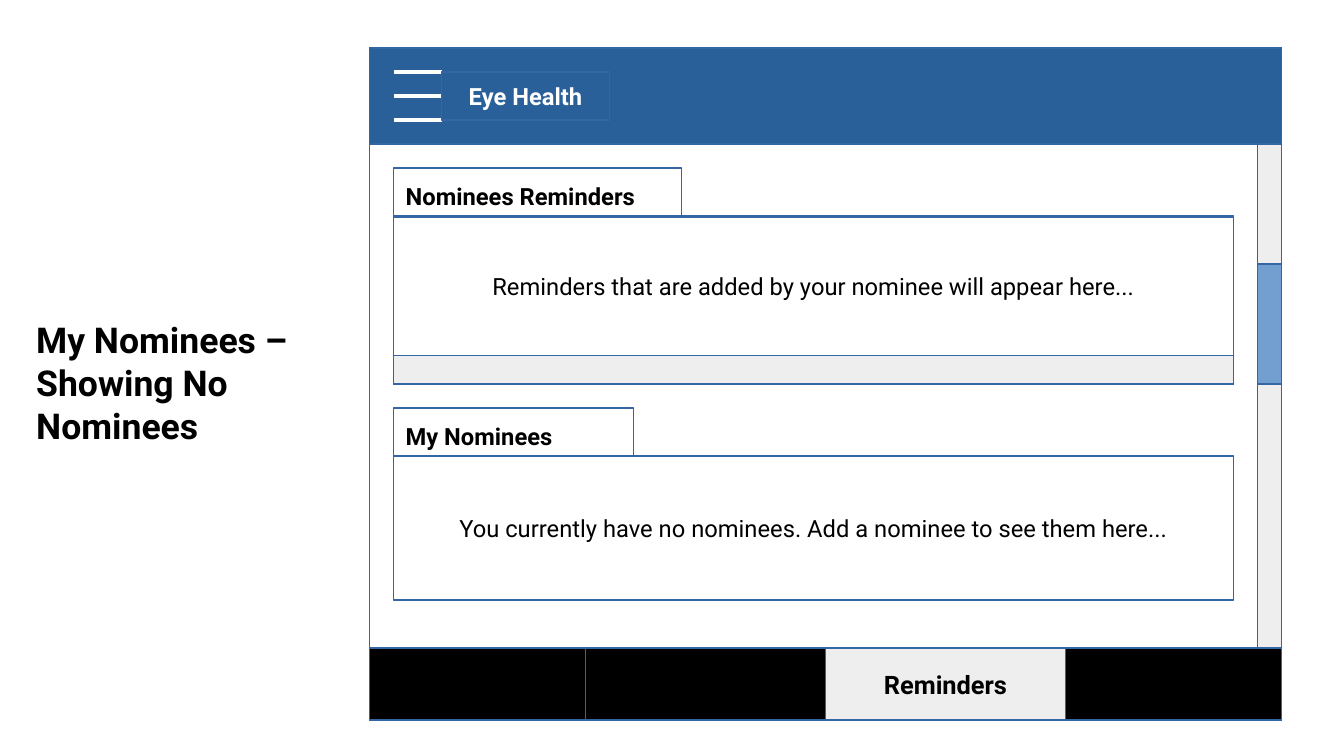
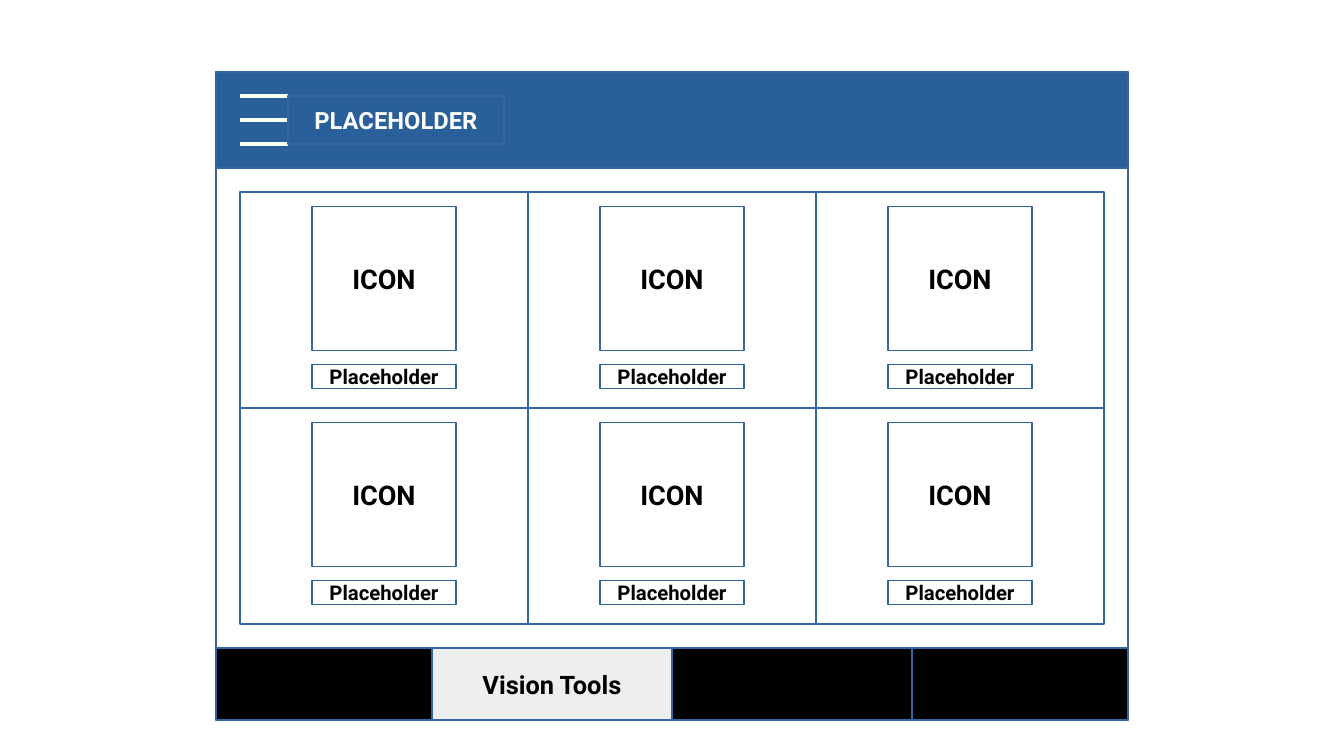
"""Draws two app screen wireframes on a grid of half-centimetre cells."""
from pptx import Presentation as Deck
from pptx.dml.color import RGBColor as Rgb
from pptx.enum.shapes import MSO_CONNECTOR as Link, MSO_SHAPE as Form
from pptx.enum.text import MSO_ANCHOR as Anchor, MSO_AUTO_SIZE as Fit, PP_ALIGN as Align
from pptx.oxml.ns import qn
from pptx.util import Cm, Pt
from lxml.etree import SubElement

WHITE = Rgb(0xFF, 0xFF, 0xFF)
BLACK = Rgb(0, 0, 0)
GREY = Rgb(0xEE, 0xEE, 0xEE)
NAVY = Rgb(0x2A, 0x60, 0x99)
SKY = Rgb(0x72, 0x9F, 0xCF)
EDGE = Rgb(0x34, 0x65, 0xA4)
FONT = "Roboto"
COLS, ROWS = 56, 31.5
WIDE, FOOT, BASE = 38, 27, 30
TABS = (9, 10, 10, 9)


def cell(count):
    return Cm(count * 0.5)


class Screen:
    def __init__(self):
        self.deck = Deck()
        self.deck.slide_width, self.deck.slide_height = cell(COLS), cell(ROWS)
        self.slide = None
        self.left = self.top = 0

    def start(self, layout, left, top):
        self.slide = self.deck.slides.add_slide(self.deck.slide_layouts[layout])
        self.left, self.top = left, top

    def words(self, shape, text, size, color=BLACK, bold=True,
              align=Align.CENTER, anchor=Anchor.MIDDLE):
        frame = shape.text_frame
        frame.text = text
        frame.word_wrap = True
        frame.vertical_anchor = anchor
        para = frame.paragraphs[0]
        para.alignment = align
        font = para.runs[0].font
        font.name, font.size, font.bold = FONT, Pt(size), bold
        font.color.rgb = color

    def title(self, text, col, row, wide, high):
        shape = self.slide.shapes.title
        shape.left, shape.top = cell(col), cell(row)
        shape.width, shape.height = cell(wide), cell(high)
        self.words(shape, text, 21, align=Align.LEFT, anchor=Anchor.TOP)
        shape.text_frame.auto_size = Fit.NONE

    def box(self, col, row, wide, high, fill=WHITE):
        shape = self.slide.shapes.add_shape(
            Form.RECTANGLE, cell(self.left + col), cell(row), cell(wide), cell(high))
        shape.shadow.inherit = False
        shape.line.color.rgb = EDGE
        shape.line.width = Pt(0)
        if fill is None:
            shape.fill.background()
        else:
            shape.fill.solid()
            shape.fill.fore_color.rgb = fill
        return shape

    def bar(self, col, row, wide):
        start = cell(self.left + col)
        line = self.slide.shapes.add_connector(
            Link.STRAIGHT, start, cell(row), start + cell(wide), cell(row))
        line.line.color.rgb = WHITE
        line.line.width = Pt(2.83)
        SubElement(line.element.spPr, qn("a:effectLst"))

    def frame(self, head, wide, name, active):
        self.box(0, self.top, WIDE, BASE - self.top)
        self.box(0, self.top, WIDE, 4, NAVY)
        for step in (1, 2, 3):
            self.bar(1, self.top + step, 2)
        self.words(self.box(3, self.top + 1, wide, 2, None), head, 14, WHITE)
        for spot, span in enumerate(TABS):
            lit = spot == active
            tab = self.box(sum(TABS[:spot]), FOOT, span, BASE - FOOT, GREY if lit else BLACK)
            if lit:
                self.words(tab, name, 15)

    def label(self, text, row, wide):
        self.words(self.box(1, row, wide, 2), text, 14,
                   align=Align.LEFT, anchor=Anchor.BOTTOM)

    def note(self, text, row, high):
        self.words(self.box(1, row, 35, high), text, 14, bold=False)

    def scroll(self):
        self.box(37, 6, 1, 21, GREY)
        self.box(37, 11, 1, 5, SKY)

    def tile(self, col, row):
        self.box(col, row, 12, 9)
        self.words(self.box(col + 3, row + 0.6, 6, 6), "ICON", 16)
        self.words(self.box(col + 3, row + 7.2, 6, 1), "Placeholder", 12)


def main():
    app = Screen()

    app.start(5, 15.4, 2)
    app.title("My Nominees – Showing No Nominees", 1, 13, 14, 5.4)
    app.frame("Eye Health", 7, "Reminders", 2)
    app.box(1, 9, 35, 7)
    app.box(1, 14.8, 35, 1.2, GREY)
    app.label("Nominees Reminders", 7, 12)
    app.note("Reminders that are added by your nominee will appear here...", 9.05, 5.75)
    app.label("My Nominees", 17, 10)
    app.note("You currently have no nominees. Add a nominee to see them here...", 19, 6)
    app.scroll()

    app.start(6, 9, 3)
    app.frame("PLACEHOLDER", 9, "Vision Tools", 1)
    for row in range(2):
        for col in range(3):
            app.tile(1 + 12 * col, 8 + 9 * row)

    app.deck.save("out.pptx")


if __name__ == "__main__":
    main()
